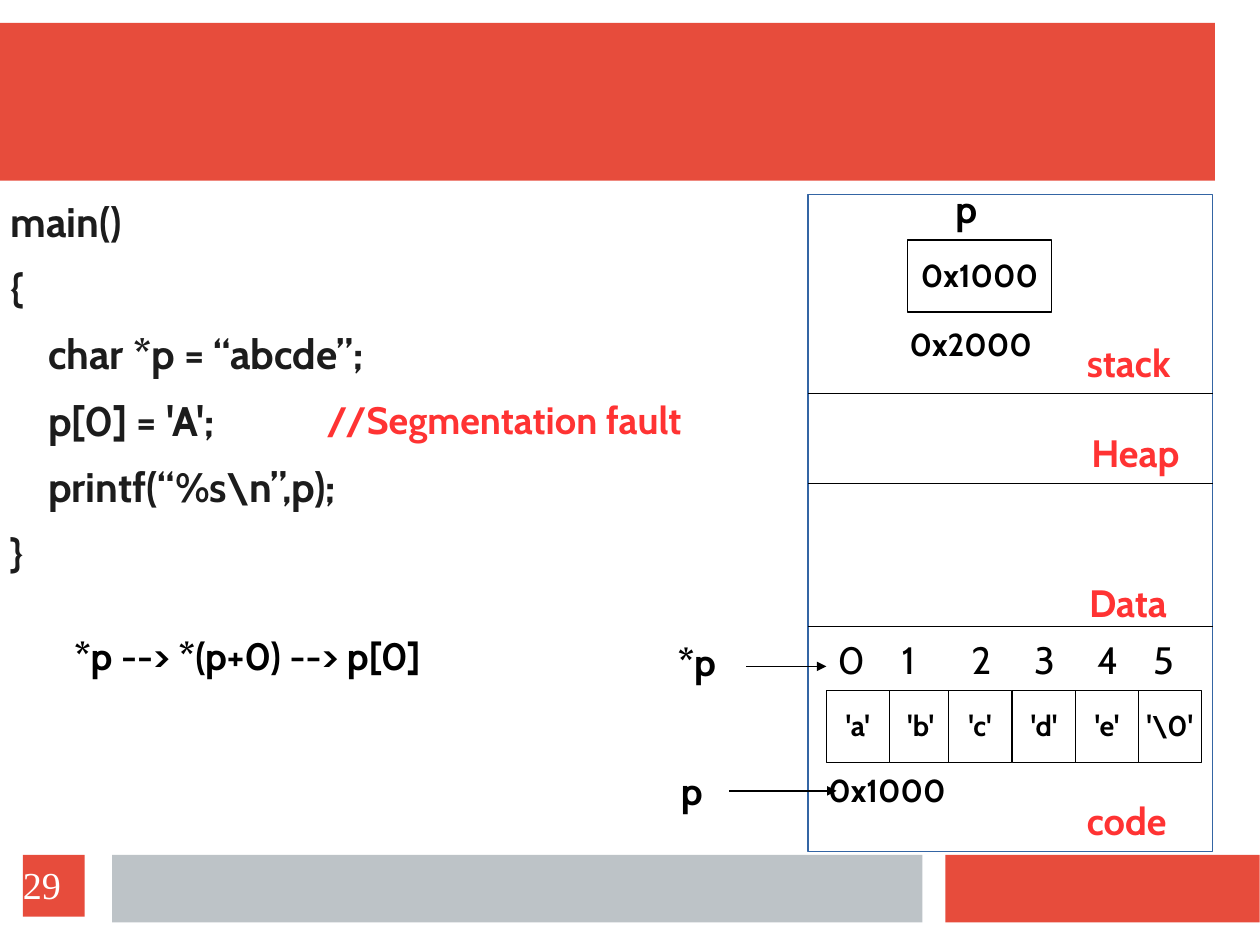
from lxml import etree
from pptx import Presentation
from pptx.dml.color import RGBColor
from pptx.enum import shapes, text
from pptx.oxml import ns
from pptx.util import Cm, Inches, Pt

RED = RGBColor(0xE7, 0x4C, 0x3C)
GREY = RGBColor(0xBD, 0xC3, 0xC7)
BLUE = RGBColor(0x34, 0x65, 0xA4)
LABEL_RED = RGBColor(0xFF, 0x33, 0x33)
INK = RGBColor(0x1C, 0x1C, 0x1C)
BLACK = RGBColor(0, 0, 0)
WHITE = RGBColor(0xFF, 0xFF, 0xFF)

MAP_LEFT, MAP_RIGHT = 7.07, 10.61

CODE = [
    ("main()", 0),
    ("{", 0),
    ("char *p = “abcde”;", 1),
    ("p[0] = 'A';", 1),
    ("printf(“%s\\n”,p);", 1),
    ("}", 0),
]

# Value, left edge of its cell, left edge of its index
STRING_CELLS = [
    ("'a'", 7.23, 7.23),
    ("'b'", 7.78, 7.79),
    ("'c'", 8.3, 8.4),
    ("'d'", 8.86, 8.95),
    ("'e'", 9.41, 9.5),
    ("'\\0'", 9.96, 9.99),
]


def format_para(para, size, color, bold=True, font="Cabin"):
    para.line_spacing = 0.97
    for span in para.runs:
        span.font.name = font
        span.font.size = Pt(size)
        span.font.bold = bold
        span.font.color.rgb = color


def add_rect(page, left, top, width, height, fill, line=None):
    rect = page.shapes.add_shape(shapes.MSO_SHAPE.RECTANGLE, Inches(left),
                                 Inches(top), Inches(width), Inches(height))
    rect.shadow.inherit = False
    rect.fill.solid()
    rect.fill.fore_color.rgb = fill
    if line is None:
        rect.line.fill.background()
    else:
        rect.line.color.rgb = line
        rect.line.width = Pt(0.75)
    return rect


def add_cell(page, words, left, top, width, size):
    """Draw a memory cell with its value in the middle."""
    frame = add_rect(page, left, top, width, 0.63, WHITE, BLACK).text_frame
    frame.word_wrap = False
    frame.vertical_anchor = text.MSO_ANCHOR.MIDDLE
    frame.text = words
    frame.paragraphs[0].alignment = text.PP_ALIGN.CENTER
    format_para(frame.paragraphs[0], size, BLACK)


def add_label(page, words, left, top, width, size=24, color=BLACK, bold=True):
    box = page.shapes.add_textbox(Inches(left), Inches(top), Inches(width),
                                  Inches(0.43 if size == 20 else 0.5))
    box.text_frame.word_wrap = False
    box.text_frame.text = words
    format_para(box.text_frame.paragraphs[0], size, color, bold)


def add_line(page, left, right, y, arrow=False):
    line = page.shapes.add_connector(shapes.MSO_CONNECTOR.STRAIGHT, Inches(left),
                                     Inches(y), Inches(right), Inches(y))
    line.line.color.rgb = BLACK
    line.line.width = Pt(0.75)
    properties = line._element.spPr
    if arrow:
        outline = properties.find(ns.qn("a:ln"))
        etree.SubElement(outline, ns.qn("a:tailEnd"), type="triangle")
    etree.SubElement(properties, ns.qn("a:effectLst"))


def add_code(page):
    box = page.shapes.add_textbox(0, Inches(1.73), Inches(4.88), Inches(5.67))
    frame = box.text_frame
    frame.word_wrap = True
    frame.margin_left = frame.margin_right = frame.margin_bottom = 0
    frame.margin_top = Inches(0.01)
    frame.text = "\n".join(words for words, depth in CODE)
    for para, (words, depth) in zip(frame.paragraphs, CODE):
        format_para(para, 26, INK)
        para.space_after = Pt(11.5)
        indent = Inches(0.09 + 0.33 * depth)
        para._p.get_or_add_pPr().set("marL", str(indent))


def add_page_number(page):
    frame = add_rect(page, 0.2, 7.48, 0.54, 0.54, RED).text_frame
    frame.margin_left = frame.margin_right = 0
    frame.margin_top = frame.margin_bottom = 0
    frame.vertical_anchor = text.MSO_ANCHOR.MIDDLE
    frame.text = "29"
    frame.paragraphs[0].alignment = text.PP_ALIGN.LEFT
    format_para(frame.paragraphs[0], 24, WHITE, False, "Times New Roman")


def add_memory_map(page):
    add_rect(page, MAP_LEFT, 1.7, MAP_RIGHT - MAP_LEFT, 5.75, WHITE, BLUE)
    for y in (3.44, 4.23, 5.48):
        add_line(page, MAP_LEFT, MAP_RIGHT, y)
    for name, left, top, width in (("stack", 9.41, 2.94, 1.2),
                                   ("Heap", 9.45, 3.73, 1.17),
                                   ("Data", 9.43, 5.04, 1.09),
                                   ("code", 9.41, 6.95, 1.09)):
        add_label(page, name, left, top, width, color=LABEL_RED)

    add_label(page, "p", 8.26, 1.6, 0.44)
    add_cell(page, "0x1000", 7.94, 2.1, 1.26, 20)
    add_label(page, "0x2000", 7.86, 2.81, 1.34, 20)


def add_string_array(page):
    for index, (value, cell_left, index_left) in enumerate(STRING_CELLS):
        add_cell(page, value, cell_left, 6.04, 0.55, 18)
        add_label(page, str(index), index_left, 5.54, 0.41, bold=False)
    add_label(page, "0x1000", 7.15, 6.71, 1.34, 20)


def add_pointers(page):
    add_label(page, "*p", 5.83, 5.56, 0.61)
    add_line(page, 6.53, 7.23, 5.83, arrow=True)
    add_label(page, "p", 5.86, 6.69, 0.44)
    add_line(page, 6.38, 7.32, 6.92, arrow=True)


def main():
    deck = Presentation()
    deck.slide_width = Cm(28)
    deck.slide_height = Cm(21)
    page = deck.slides.add_slide(deck.slide_layouts[6])

    add_rect(page, 0, 0.2, 10.63, 1.38, RED)
    add_rect(page, 8.27, 7.48, 2.75, 0.59, RED)
    add_rect(page, 0.98, 7.48, 7.09, 0.59, GREY)
    add_code(page)
    add_label(page, "//Segmentation fault", 2.76, 3.44, 4.08, color=LABEL_RED)
    add_memory_map(page)
    add_string_array(page)
    add_pointers(page)
    add_label(page, "*p --> *(p+0) --> p[0]", 0.55, 5.51, 4.19)
    add_page_number(page)
    deck.save("out.pptx")


if __name__ == "__main__":
    main()
